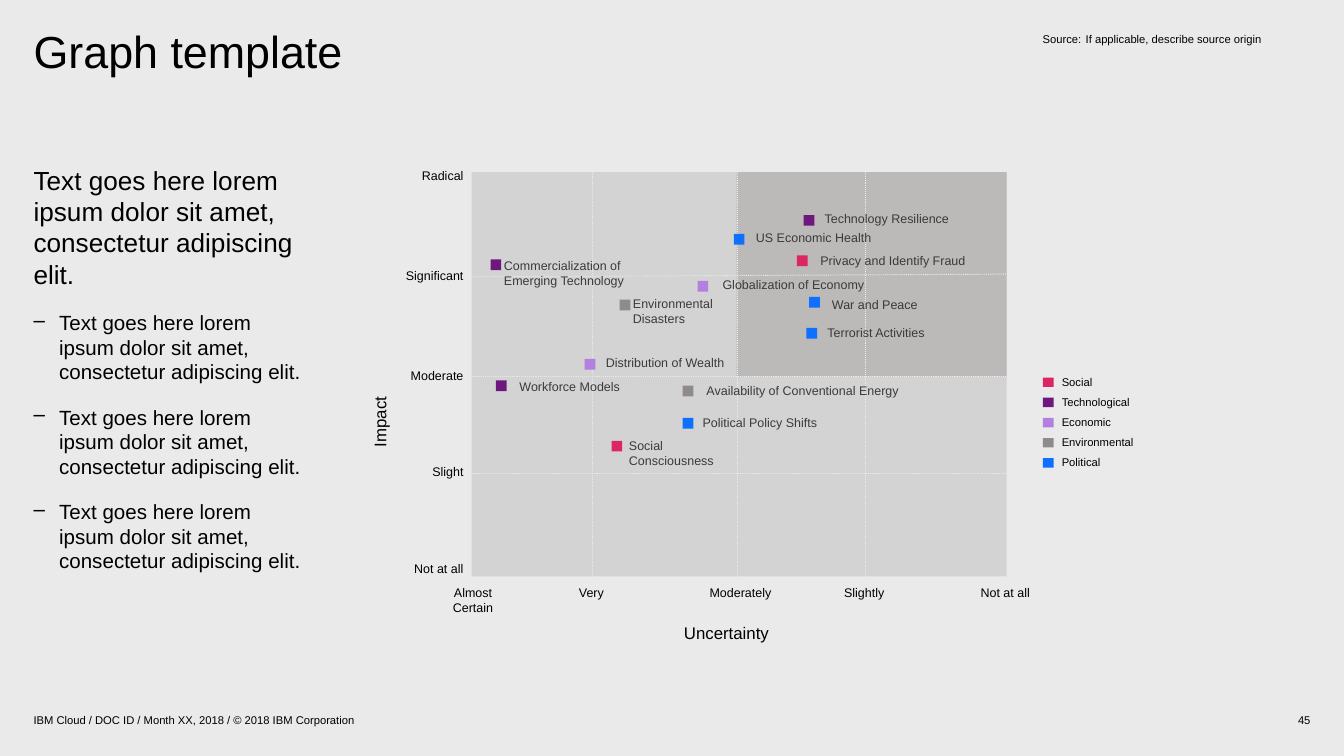
from dataclasses import dataclass

import pptx
import pptx.dml.color
import pptx.enum.dml
import pptx.enum.shapes
import pptx.enum.text
import pptx.oxml.ns
import pptx.util
from lxml import etree

Inches = pptx.util.Inches
ALIGN = pptx.enum.text.PP_ALIGN
ANCHOR = pptx.enum.text.MSO_ANCHOR


@dataclass(frozen=True)
class Theme:
    font: str = "Arial"
    background: str = "EAEAEA"
    plot: str = "D3D3D3"
    highlight: str = "BCB9B9"
    text: str = "000000"
    label: str = "3A3A3A"
    title_size: float = 24
    lead_size: float = 14
    bullet_size: float = 11
    axis_size: float = 9
    label_size: float = 6.75
    small_size: float = 6


THEME = Theme()
CATEGORIES = {
    "Social": "DB2663",
    "Technological": "6E177D",
    "Economic": "B380E0",
    "Environmental": "8F8B8B",
    "Political": "0F6FFF",
}
MARKER = 0.08
LOREM = "Text goes here lorem ipsum dolor sit amet, consectetur adipiscing elit."

# Offsets from the plot corner: text, category, marker x and y, label x, y and width, wraps
RISKS = [
    ("Social Consciousness", "Social", 1.04, 2.00, 1.11, 1.95, 0.95, True),
    ("Technology Resilience", "Technological", 2.47, 0.32, 2.55, 0.26, 1.08, False),
    ("Workforce Models", "Technological", 0.18, 1.55, 0.27, 1.51, 0.92, False),
    ("Environmental Disasters", "Environmental", 1.10, 0.95, 1.14, 0.89, 0.80, True),
    ("Political Policy Shifts", "Political", 1.57, 1.83, 1.64, 1.78, 1.01, False),
    ("Privacy and Identify Fraud", "Social", 2.42, 0.62, 2.51, 0.57, 1.25, False),
    ("Commercialization of Emerging Technology", "Technological",
     0.14, 0.65, 0.18, 0.61, 1.03, True),
    ("Globalization of Economy", "Economic", 1.68, 0.81, 1.79, 0.75, 1.21, False),
    ("US Economic Health", "Political", 1.95, 0.46, 2.02, 0.40, 1.05, False),
    ("War and Peace", "Political", 2.51, 0.93, 2.61, 0.90, 0.78, False),
    ("Terrorist Activities", "Political", 2.49, 1.16, 2.46, 1.11, 1.10, False),
    ("Distribution of Wealth", "Economic", 0.84, 1.39, 0.91, 1.33, 1.06, False),
    ("Availability of Conventional Energy", "Environmental",
     1.57, 1.59, 1.65, 1.54, 1.63, False),
]
IMPACT_TICKS = [("Radical", -0.07), ("Significant", 0.67), ("Moderate", 1.42),
                ("Slight", 2.13), ("Not at all", 2.85)]
UNCERTAINTY_TICKS = [("Almost Certain", 0.01), ("Very", 0.89), ("Moderately", 2.00),
                     ("Slightly", 2.92), ("Not at all", 3.97)]


def rgb(color):
    return pptx.dml.color.RGBColor.from_string(color)


def add_text(paragraph, text, size, color=THEME.text):
    run = paragraph.add_run()
    run.text = text
    run.font.name = THEME.font
    run.font.size = pptx.util.Pt(size)
    run.font.color.rgb = rgb(color)


def set_frame(frame, inset=(0, 0), wrap=True, anchor=ANCHOR.TOP):
    frame.word_wrap = wrap
    frame.vertical_anchor = anchor
    frame.margin_left = frame.margin_right = Inches(inset[0])
    frame.margin_top = frame.margin_bottom = Inches(inset[1])


def add_label(slide, box, text, size, color=THEME.text, align=ALIGN.LEFT, **frame_options):
    shape = slide.shapes.add_textbox(*map(Inches, box))
    set_frame(shape.text_frame, **frame_options)
    paragraph = shape.text_frame.paragraphs[0]
    paragraph.alignment = align
    add_text(paragraph, text, size, color)
    return shape


def set_hanging(paragraph, indent, bullet=None):
    properties = paragraph._p.get_or_add_pPr()
    properties.set("marL", str(Inches(indent)))
    properties.set("indent", str(-Inches(indent)))
    if bullet:
        etree.SubElement(properties, pptx.oxml.ns.qn("a:buChar"), char=bullet)


def add_rectangle(slide, box, color):
    shape = slide.shapes.add_shape(
        pptx.enum.shapes.MSO_SHAPE.RECTANGLE, *map(Inches, box))
    shape.shadow.inherit = False
    shape.fill.solid()
    shape.fill.fore_color.rgb = rgb(color)
    shape.line.fill.background()


def add_grid_line(slide, x1, y1, x2, y2):
    line = slide.shapes.add_connector(
        pptx.enum.shapes.MSO_CONNECTOR.STRAIGHT, *map(Inches, (x1, y1, x2, y2)))
    line.line.color.rgb = rgb(THEME.background)
    line.line.width = pptx.util.Pt(0.5)
    line.line.dash_style = pptx.enum.dml.MSO_LINE.ROUND_DOT
    etree.SubElement(line._element.spPr, pptx.oxml.ns.qn("a:effectLst"))


def add_title(slide, box, text):
    title = slide.shapes.title
    title.left, title.top, title.width, title.height = map(Inches, box)
    set_frame(title.text_frame)
    paragraph = title.text_frame.paragraphs[0]
    paragraph.alignment = ALIGN.LEFT
    paragraph.line_spacing = 0.9
    add_text(paragraph, text, THEME.title_size)


def add_body(slide, box, lead, bullets):
    shape = add_label(slide, box, lead, THEME.lead_size)
    for text in bullets:
        paragraph = shape.text_frame.add_paragraph()
        paragraph.level = 1
        paragraph.space_before = pptx.util.Pt(11)
        set_hanging(paragraph, 0.19, "–")
        add_text(paragraph, text, THEME.bullet_size)


def add_risk_map(slide, box):
    left, top, width, height = box
    right, bottom = left + width, top + height

    # Plot area, highlighted quadrant and grid
    add_rectangle(slide, box, THEME.plot)
    add_rectangle(slide, (left + 1.97, top, width - 1.97, 1.52), THEME.highlight)
    for start, end in [(0.78, 0.76), (1.52, 1.52), (2.24, 2.24)]:
        add_grid_line(slide, left, top + start, right, top + end)
    for x in (0.90, 1.98, 2.93):
        add_grid_line(slide, left + x, top, left + x, bottom)

    # Axis ticks and titles
    inset = (0.07, 0.04)
    for text, y in IMPACT_TICKS:
        add_label(slide, (left - 0.79, top + y, 0.8, 0.19), text, THEME.label_size,
                  align=ALIGN.RIGHT, inset=inset)
    for text, x in UNCERTAINTY_TICKS:
        add_label(slide, (left + x - 0.36, bottom + 0.02, 0.72, 0.19), text,
                  THEME.label_size, align=ALIGN.CENTER, inset=inset)
    impact = add_label(slide, (left - 1.43, top + 1.71, 1.49, 0.3), "Impact",
                       THEME.axis_size, align=ALIGN.CENTER, anchor=ANCHOR.MIDDLE)
    impact.rotation = 270
    add_label(slide, (left + 1.28, bottom + 0.27, 1.23, 0.3), "Uncertainty",
              THEME.axis_size, align=ALIGN.CENTER, anchor=ANCHOR.MIDDLE)

    # Risks
    for text, category, x, y, label_x, label_y, label_width, wrap in RISKS:
        add_label(slide, (left + label_x, top + label_y, label_width, 0.18), text,
                  THEME.label_size, THEME.label, ALIGN.LEFT if wrap else ALIGN.CENTER,
                  inset=(0.06, 0.03), wrap=wrap)
        add_rectangle(slide, (left + x, top + y, MARKER, MARKER), CATEGORIES[category])


def add_legend(slide, box):
    left, top, width, height = box
    step = height / len(CATEGORIES)
    for index, (name, color) in enumerate(CATEGORIES.items()):
        y = top + index * step
        add_rectangle(slide, (left, y + 0.06, MARKER, 0.07), color)
        add_label(slide, (left + 0.07, y, width - 0.07, 0.18), name,
                  THEME.small_size, inset=(0.07, 0.04))


def add_source(slide, box, text):
    shape = add_label(slide, box, text, THEME.small_size, inset=(0.1, 0.04))
    set_hanging(shape.text_frame.paragraphs[0], 0.32)


def add_footer(slide, box, text, number):
    left, top, width, height = box
    add_label(slide, (left, top, 7, height), text, THEME.small_size, anchor=ANCHOR.MIDDLE)
    add_label(slide, (left + width - 2.25, top, 2.25, height), number, THEME.small_size,
              align=ALIGN.RIGHT, anchor=ANCHOR.MIDDLE)


def main():
    presentation = pptx.Presentation()
    presentation.slide_width = Inches(10)
    presentation.slide_height = Inches(10 * 9 / 16)
    slide = presentation.slides.add_slide(presentation.slide_layouts[5])
    slide.background.fill.solid()
    slide.background.fill.fore_color.rgb = rgb(THEME.background)

    add_title(slide, (0.25, 0.22, 4.5, 0.98), "Graph template")
    add_body(slide, (0.25, 1.22, 2, 3.78), LOREM, [LOREM] * 3)
    add_risk_map(slide, (3.51, 1.28, 3.98, 3.01))
    add_legend(slide, (7.76, 2.75, 0.76, 0.75))
    add_source(slide, (7.66, 0.2, 2.09, 0.53),
               "Source:\tIf applicable, describe source origin")
    add_footer(slide, (0.25, 5.28, 9.5, 0.15),
               "IBM Cloud / DOC ID / Month XX, 2018 / © 2018 IBM Corporation", "45")
    presentation.save("out.pptx")


if __name__ == "__main__":
    main()
